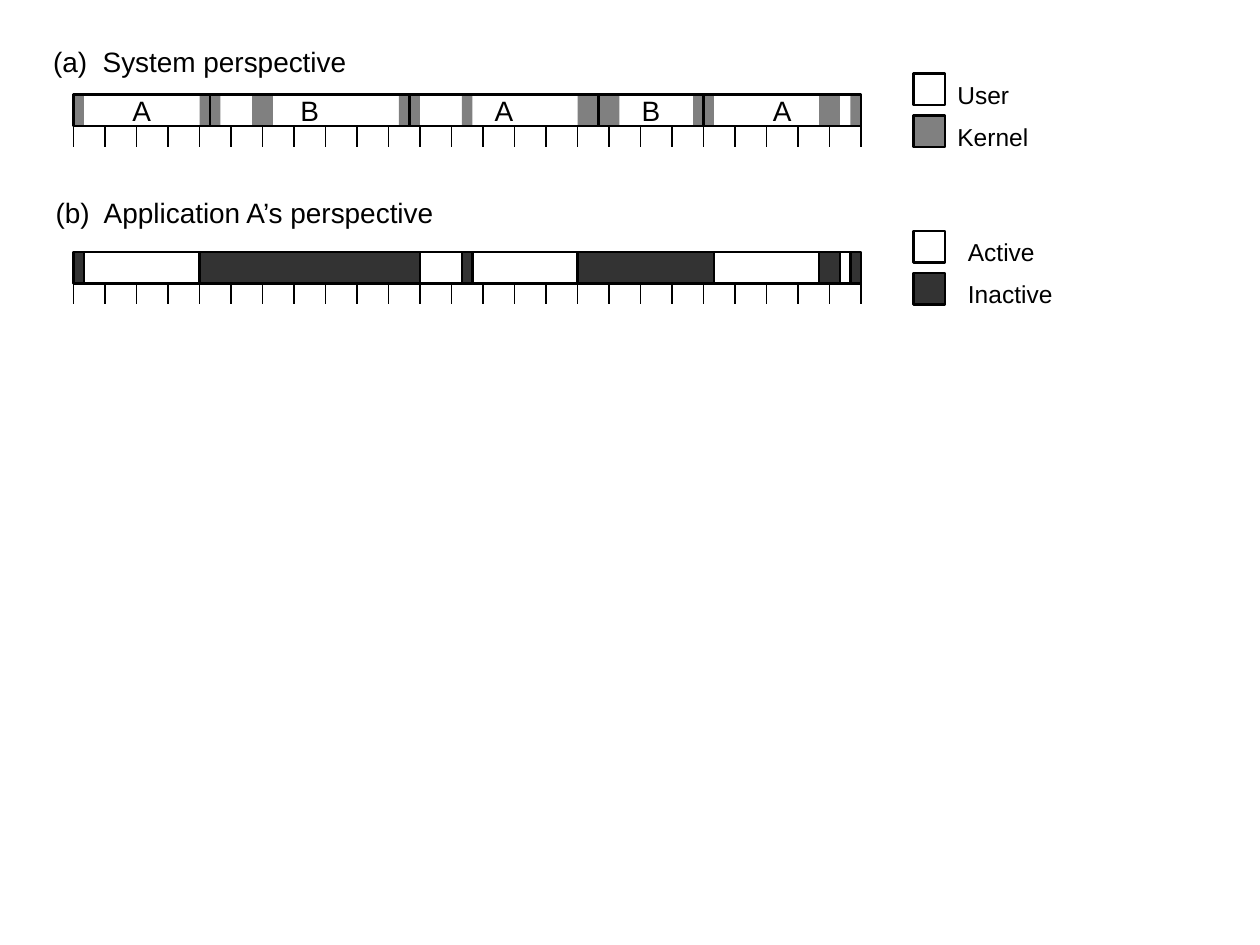
from dataclasses import dataclass
from typing import Any, Optional

from lxml import etree
from pptx import Presentation
from pptx import util as u
from pptx.dml.color import RGBColor
from pptx.enum import shapes, text
from pptx.oxml import ns

PX = 9525  # EMU in one px, 96 px to the inch
UNIT = 8  # px in one time unit
LEFT, BAR_HEIGHT = 56, 24
DURATION, TICK_STEP, TICK_LENGTH = 75, 3, 16
LEGEND_LEFT, SWATCH_SIZE, LEGEND_STEP = 696, 24, 32


@dataclass(frozen=True)
class Theme:
    font: str = "Arial"
    ink: str = "000000"
    kernel: str = "808080"
    inactive: str = "333333"
    title_size: int = 16
    legend_size: int = 14
    outline: float = 1.5
    tick: float = 0.75


@dataclass(frozen=True)
class Box:
    left: int
    top: int
    width: int
    height: int

    def emu(self) -> tuple[int, ...]:
        return tuple(v * PX for v in (self.left, self.top, self.width, self.height))


@dataclass(frozen=True)
class Span:
    start: int
    end: int
    label: str = ""


@dataclass(frozen=True)
class Title:
    label: str
    box: Box


@dataclass(frozen=True)
class LegendEntry:
    label: str
    width: int
    fill: Optional[str] = None


THEME = Theme()
KERNEL = [Span(*ends) for ends in (
    (0, 1), (12, 14), (17, 19), (31, 33), (37, 38), (48, 52), (59, 61), (71, 73), (74, 75))]
PROCESSES = [Span(0, 13, "A"), Span(13, 32, "B"), Span(32, 50, "A"),
             Span(50, 60, "B"), Span(60, 75, "A")]
INACTIVE = [Span(*ends) for ends in (
    (0, 1), (12, 33), (37, 38), (48, 61), (71, 73), (74, 75))]
ACTIVE = [Span(before.end, after.start) for before, after in zip(INACTIVE, INACTIVE[1:])]

SYSTEM_TOP, APPLICATION_TOP = 72, 192
TITLES = [Title("(a)  System perspective", Box(31, 29, 243, 35)),
          Title("(b)  Application A’s perspective", Box(33, 144, 311, 35))]
SYSTEM_LEGEND = [LegendEntry("User", 59), LegendEntry("Kernel", 73, THEME.kernel)]
APPLICATION_LEGEND = [LegendEntry("Active", 70), LegendEntry("Inactive", 84, THEME.inactive)]


def write(shape: Any, label: str, size: int, frame_format: dict[str, Any],
          alignment: Any = text.PP_ALIGN.LEFT) -> None:
    frame = shape.text_frame
    for name, value in frame_format.items():
        setattr(frame, name, value)
    paragraph = frame.paragraphs[0]
    paragraph.alignment = alignment
    run = paragraph.add_run()
    run.text = label
    for name, value in {"name": THEME.font, "size": u.Pt(size)}.items():
        setattr(run.font, name, value)
    run.font.color.rgb = RGBColor.from_string(THEME.ink)


def add_label(slide: Any, label: str, box: Box, size: int) -> None:
    write(slide.shapes.add_textbox(*box.emu()), label, size,
          {"word_wrap": False, "auto_size": text.MSO_AUTO_SIZE.SHAPE_TO_FIT_TEXT})


def add_block(slide: Any, box: Box, fill: Optional[str] = None,
              outlined: bool = True, label: str = "") -> None:
    shape = slide.shapes.add_shape(shapes.MSO_SHAPE.RECTANGLE, *box.emu())
    shape.shadow.inherit = False
    if fill:
        shape.fill.solid()
        shape.fill.fore_color.rgb = RGBColor.from_string(fill)
    else:
        shape.fill.background()
    if outlined:
        shape.line.color.rgb = RGBColor.from_string(THEME.ink)
        shape.line.width = u.Pt(THEME.outline)
    else:
        shape.line.fill.background()
    if label:
        write(shape, label, THEME.title_size,
              {"word_wrap": False, "vertical_anchor": text.MSO_ANCHOR.MIDDLE},
              text.PP_ALIGN.CENTER)


def add_spans(slide: Any, spans: list[Span], top: int,
              fill: Optional[str] = None, outlined: bool = True) -> None:
    """Draw time spans as blocks on the bar that starts at top."""
    for span in spans:
        box = Box(LEFT + span.start * UNIT, top, (span.end - span.start) * UNIT, BAR_HEIGHT)
        add_block(slide, box, fill, outlined, span.label)


def add_ticks(slide: Any, bar_top: int) -> None:
    group = slide.shapes.add_group_shape()
    top = bar_top + BAR_HEIGHT
    for time in range(0, DURATION + 1, TICK_STEP):
        x = LEFT + time * UNIT
        tick = group.shapes.add_connector(
            shapes.MSO_CONNECTOR.STRAIGHT, x * PX, top * PX, x * PX, (top + TICK_LENGTH) * PX)
        tick.line.color.rgb = RGBColor.from_string(THEME.ink)
        tick.line.width = u.Pt(THEME.tick)
        etree.SubElement(tick._element.spPr, ns.qn("a:effectLst"))


def add_legend(slide: Any, entries: list[LegendEntry], top: int, text_left: int) -> None:
    for row, entry in enumerate(entries):
        y = top + row * LEGEND_STEP
        add_block(slide, Box(LEGEND_LEFT, y, SWATCH_SIZE, SWATCH_SIZE), entry.fill)
        add_label(slide, entry.label, Box(text_left, y, entry.width, 33), THEME.legend_size)


def main() -> None:
    presentation = Presentation()
    presentation.slide_width = 960 * PX
    presentation.slide_height = 720 * PX
    slide = presentation.slides.add_slide(presentation.slide_layouts[6])

    for title in TITLES:
        add_label(slide, title.label, title.box, THEME.title_size)
    add_spans(slide, KERNEL, SYSTEM_TOP, THEME.kernel, outlined=False)
    add_spans(slide, PROCESSES, SYSTEM_TOP)
    add_spans(slide, INACTIVE, APPLICATION_TOP, THEME.inactive)
    add_spans(slide, ACTIVE, APPLICATION_TOP)
    add_legend(slide, SYSTEM_LEGEND, 56, 720)
    add_legend(slide, APPLICATION_LEGEND, 176, 728)
    for bar_top in (SYSTEM_TOP, APPLICATION_TOP):
        add_ticks(slide, bar_top)

    presentation.save("out.pptx")


if __name__ == "__main__":
    main()
